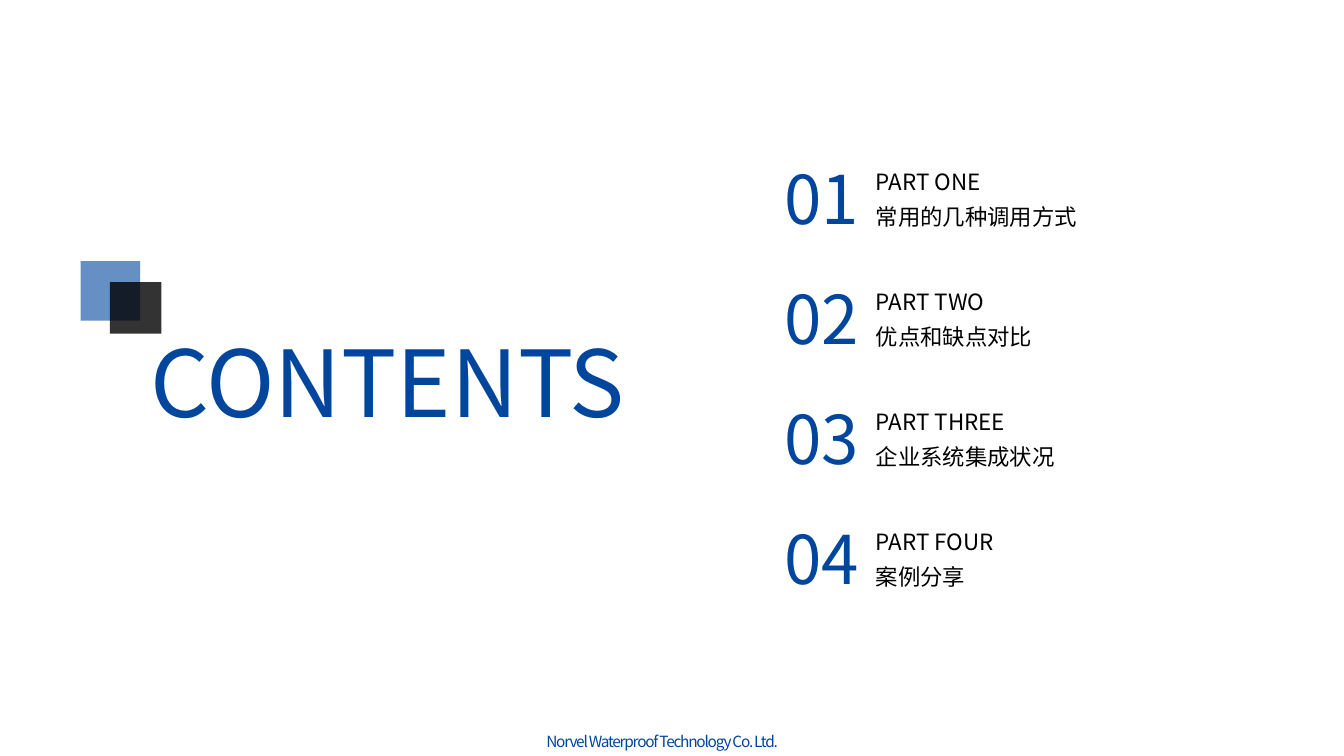
from lxml.etree import SubElement
from pptx import Presentation
from pptx.dml.color import RGBColor
from pptx.enum.shapes import MSO_SHAPE
from pptx.enum.text import MSO_AUTO_SIZE
from pptx.oxml.ns import qn
from pptx.util import Pt

PX = 9144  # EMU per px, 100 px to the inch
COLORS = {"blue": "00469C", "black": "000000"}
FONT = "Noto Sans CJK SC"


def add_text(text, *, at, size, color="blue", line_spacing=None, tracking=None):
    """Add a text box; each line of text becomes a paragraph, tracking is in points."""
    box = page.shapes.add_textbox(*(value * PX for value in at))
    frame = box.text_frame
    frame.word_wrap = True
    frame.auto_size = MSO_AUTO_SIZE.SHAPE_TO_FIT_TEXT
    frame.text = text
    for para in frame.paragraphs:
        if line_spacing:
            para.line_spacing = line_spacing
        for span in para.runs:
            span.font.size = Pt(size)
            span.font.name = FONT
            span.font.color.rgb = RGBColor.from_string(COLORS[color])
            properties = span.font._element
            SubElement(properties, qn("a:ea")).set("typeface", FONT)
            if tracking:
                properties.set("spc", str(round(tracking * 100)))


def add_square(left, top, side, color, opacity):
    square = page.shapes.add_shape(
        MSO_SHAPE.RECTANGLE, left * PX, top * PX, side * PX, side * PX)
    square.shadow.inherit = False
    square.line.fill.background()
    square.fill.solid()
    square.fill.fore_color.rgb = RGBColor.from_string(COLORS[color])
    tint = square._element.spPr.find(qn("a:solidFill")).find(qn("a:srgbClr"))
    SubElement(tint, qn("a:alpha")).set("val", str(opacity * 1000))


deck = Presentation()
deck.slide_width = 1333 * PX
deck.slide_height = 750 * PX
page = deck.slides.add_slide(deck.slide_layouts[6])

# Footer and title
add_text("Norvel Waterproof Technology Co. Ltd.", at=(532, 721, 269, 29),
         size=11, tracking=-0.9)
add_text("CONTENTS", at=(139, 318, 517, 121), size=66)
add_square(80, 259, 59, "blue", 60)
add_square(109, 280, 51, "black", 80)

# Numbered parts
PARTS = [
    ("PART ONE", "常用的几种调用方式"),
    ("PART TWO", "优点和缺点对比"),
    ("PART THREE", "企业系统集成状况"),
    ("PART FOUR", "案例分享"),
]
PART_TOP, PART_PITCH = 151, 119
for index, part in enumerate(PARTS):
    top = PART_TOP + index * PART_PITCH
    add_text("\n".join(part), at=(859, top + 3, 240, 80), size=16,
             color="black", line_spacing=1.3)
    add_text(f"{index + 1:02}", at=(768, top, 99, 91), size=48)

deck.save("out.pptx")
